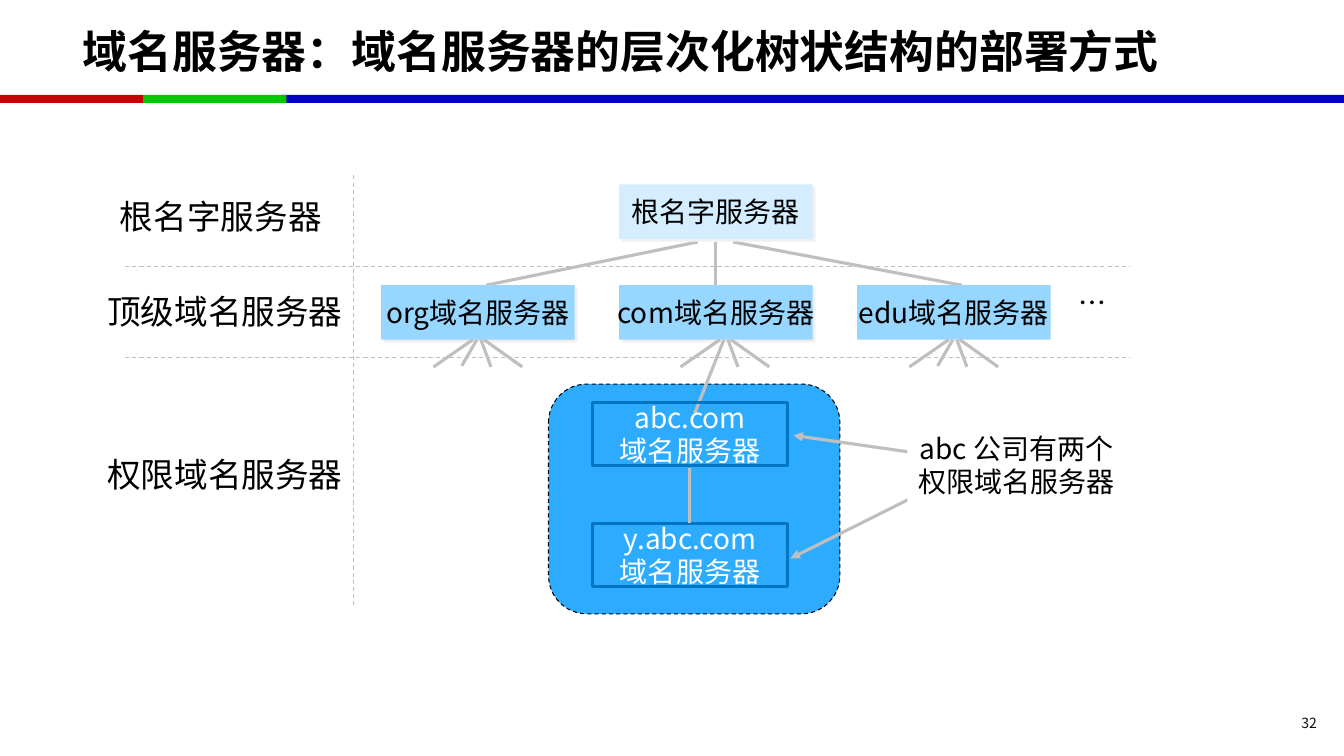
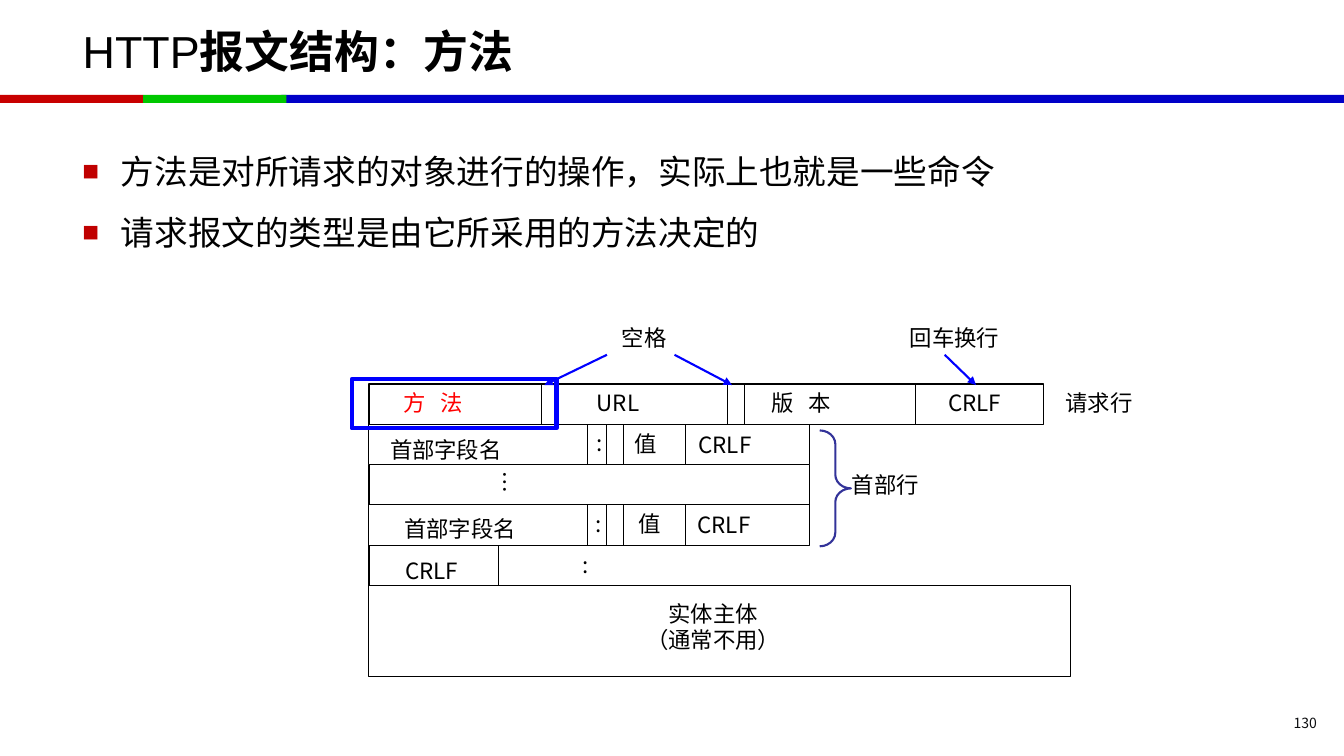
from dataclasses import dataclass

from lxml import etree
from pptx import Presentation
from pptx.dml.color import RGBColor
from pptx.enum.dml import MSO_LINE
from pptx.enum.shapes import MSO_CONNECTOR, MSO_SHAPE
from pptx.enum.text import MSO_ANCHOR, MSO_AUTO_SIZE, PP_ALIGN
from pptx.oxml.ns import qn
from pptx.util import Inches, Pt

RECT = MSO_SHAPE.RECTANGLE
ROUNDED = MSO_SHAPE.ROUNDED_RECTANGLE
BRACE = MSO_SHAPE.RIGHT_BRACE
STRAIGHT = MSO_CONNECTOR.STRAIGHT
DASH = MSO_LINE.DASH
LEFT, CENTER, RIGHT = PP_ALIGN.LEFT, PP_ALIGN.CENTER, PP_ALIGN.RIGHT
TOP, MIDDLE = MSO_ANCHOR.TOP, MSO_ANCHOR.MIDDLE
TITLE_ONLY = 5


@dataclass(frozen=True)
class Theme:
    latin: str = "Arial"
    cjk: str = "Noto Sans CJK SC"
    black: str = "000000"
    white: str = "FFFFFF"
    gray: str = "BFBFBF"
    shadow: str = "F0F0F0"
    page: str = "0C0D0F"
    band_blue: str = "0000C8"
    band_red: str = "C80000"
    band_green: str = "00C800"
    root: str = "D5EEFF"
    top_level: str = "96D6FF"
    cluster: str = "2DACFF"
    authority: str = "0076C2"
    highlight: str = "0000FF"
    method: str = "FF0000"
    brace: str = "333399"
    bullet: str = "C00000"
    title_size: int = 32
    large: int = 24
    medium: int = 20
    small: int = 16
    page_size: int = 10
    leading: float = 1.2


THEME = Theme()


def rgb(color):
    return RGBColor.from_string(color)


def add_xml(parent, tag, **attributes):
    return etree.SubElement(parent, qn(tag), attributes)


def style_run(run, size, color, bold=False, latin=THEME.cjk, tracking=0):
    """Format a run; tracking is extra space between characters, in points."""
    run.font.size = Pt(size)
    run.font.bold = bold
    run.font.color.rgb = rgb(color)
    run.font.name = latin
    properties = run.font._element
    add_xml(properties, "a:ea", typeface=THEME.cjk)
    if tracking:
        properties.set("spc", str(int(tracking * 100)))


def add_bullet(paragraph):
    properties = paragraph._p.get_or_add_pPr()
    indent = Inches(0.38)
    properties.set("marL", str(indent))
    properties.set("indent", str(-indent))
    color = add_xml(properties, "a:buClr")
    add_xml(color, "a:srgbClr", val=THEME.bullet)
    add_xml(properties, "a:buSzPct", val="83000")
    add_xml(properties, "a:buFont", typeface=THEME.latin)
    add_xml(properties, "a:buChar", char="■")


def write(frame, text, size=THEME.small, color=THEME.black, align=LEFT,
          anchor=TOP, wrap=True, spacing=1, bullets=False, tracking=0):
    """Fill a text frame, one paragraph for each line of text."""
    frame.word_wrap = wrap
    frame.vertical_anchor = anchor
    for index, line in enumerate(text.split("\n")):
        paragraph = frame.add_paragraph() if index else frame.paragraphs[0]
        if bullets:
            add_bullet(paragraph)
        paragraph.alignment = align
        paragraph.line_spacing = Pt(size * THEME.leading * spacing)
        run = paragraph.add_run()
        run.text = line
        style_run(run, size, color, tracking=tracking)


def add_label(slide, text, left, top, width, height=0.27, **text_format):
    box = slide.shapes.add_textbox(*map(Inches, (left, top, width, height)))
    write(box.text_frame, text, **text_format)
    return box


def add_box(slide, left, top, width, height, kind=RECT, fill=None, line=None,
            weight=0.75, dash=None):
    box = slide.shapes.add_shape(kind, *map(Inches, (left, top, width, height)))
    box.shadow.inherit = False
    if fill:
        box.fill.solid()
        box.fill.fore_color.rgb = rgb(fill)
    else:
        box.fill.background()
    if line:
        box.line.color.rgb = rgb(line)
        box.line.width = Pt(weight)
        box.line.dash_style = dash
    else:
        box.line.fill.background()
    return box


def add_drop_shadow(box):
    effects = box._element.spPr.find(qn("a:effectLst"))
    shadow = add_xml(effects, "a:outerShdw", dist=str(Pt(2.8)), dir="2700000",
                     algn="ctr", rotWithShape="0")
    add_xml(shadow, "a:srgbClr", val=THEME.shadow)


def add_line(slide, start, end, color=THEME.black, weight=0.75, dash=None,
             arrow=False):
    line = slide.shapes.add_connector(STRAIGHT, *map(Inches, (*start, *end)))
    line.line.color.rgb = rgb(color)
    line.line.width = Pt(weight)
    if dash:
        line.line.dash_style = dash
    if arrow:
        add_xml(line.line._ln, "a:tailEnd", type="triangle")
    add_xml(line._element.spPr, "a:effectLst")


def add_branch(slide, start, end, **line_format):
    add_line(slide, start, end, THEME.gray, 2.25, **line_format)


def add_server(slide, name, left, top, fill, shadow=True):
    server = add_box(slide, left, top, 1.92, 0.54, fill=fill)
    if shadow:
        add_drop_shadow(server)
    write(server.text_frame, name, size=THEME.medium, align=CENTER,
          anchor=MIDDLE, wrap=False)


def add_authority(slide, name, top):
    server = add_box(slide, 5.88, top, 1.93, 0.63, line=THEME.authority, weight=2.25)
    write(server.text_frame, f"{name}\n域名服务器", size=THEME.medium,
          color=THEME.white, align=CENTER, anchor=MIDDLE, wrap=False)


def add_layout_bands(slide):
    """Draw the title bands and move them to the layout that all slides share."""
    layout_tree = slide.slide_layout.shapes._spTree
    for left, width, color in ((2.79, 10.54, THEME.band_blue),
                               (0, 1.42, THEME.band_red),
                               (1.42, 1.42, THEME.band_green)):
        band = add_box(slide, left, 0.94, width, 0.08, fill=color)
        layout_tree.append(band._element)


def start_slide(deck, title_runs, page):
    """Add a slide with its title, given as (text, bold) runs, and page number."""
    slide = deck.slides.add_slide(deck.slide_layouts[TITLE_ONLY])
    title = slide.shapes.title
    title.left, title.top, title.width, title.height = map(
        Inches, (0.72, 0.08, 11.88, 0.84))
    frame = title.text_frame
    frame.auto_size = MSO_AUTO_SIZE.NONE
    frame.word_wrap = True
    frame.vertical_anchor = MIDDLE
    paragraph = frame.paragraphs[0]
    paragraph.alignment = LEFT
    for text, bold in title_runs:
        run = paragraph.add_run()
        run.text = text
        style_run(run, THEME.title_size, THEME.black, bold, THEME.latin)
    add_label(slide, page, 11.86, 7.06, 1.3, 0.23, size=THEME.page_size,
              color=THEME.page, align=RIGHT, anchor=MIDDLE)
    return slide


def build_server_tree(slide):
    cluster = add_box(slide, 5.44, 3.81, 2.89, 2.28, kind=ROUNDED,
                      fill=THEME.cluster, line=THEME.black, dash=DASH)
    cluster.adjustments[0] = 0.167

    for root_x, domain_x in ((6.92, 4.82), (7.1, 7.1), (7.27, 9.54)):
        add_branch(slide, (domain_x, 2.83), (root_x, 2.4))
    add_server(slide, "根名字服务器", 6.14, 1.83, THEME.root)
    for index, domain in enumerate(("org", "com", "edu")):
        add_server(slide, f"{domain}域名服务器", 3.78 + 2.36 * index, 2.83,
                   THEME.top_level, shadow=domain != "edu")
    add_label(slide, "…", 10.6, 2.78, 0.43, 0.44, size=THEME.medium, wrap=False)

    com_x = 7.18
    for center in (4.73, com_x, 9.45):
        for start, end in ((0.07, 0.45), (0.04, 0.14), (-0.04, -0.43)):
            add_branch(slide, (center + start, 3.37), (center + end, 3.64))
        child = (6.89, 4.1) if center == com_x else (center - 0.15, 3.63)
        add_branch(slide, (center, 3.37), child)

    add_authority(slide, "y.abc.com", 5.19)
    add_branch(slide, (6.84, 4.64), (6.84, 5.19))
    add_branch(slide, (9.27, 4.52), (7.87, 4.32), arrow=True)
    add_branch(slide, (9.28, 4.82), (7.84, 5.54), arrow=True)
    add_authority(slide, "abc.com", 3.99)

    for start, end in (((1.24, 2.64), (11.2, 2.64)), ((1.24, 3.55), (11.2, 3.55)),
                       ((3.51, 1.74), (3.51, 6))):
        add_line(slide, start, end, THEME.gray, dash=DASH)
    for level, left, top, width in (("根名字服务器", 1.08, 1.89, 2.22),
                                    ("顶级域名服务器", 0.95, 2.84, 2.56),
                                    ("权限域名服务器", 0.95, 4.45, 2.56)):
        add_label(slide, level, left, top, width, 0.51, size=THEME.large,
                  align=CENTER, wrap=False)

    remark = add_box(slide, 9, 4.23, 2.16, 1.1, fill=THEME.white)
    write(remark.text_frame, "abc 公司有两个\n权限域名服务器",
          size=THEME.medium, align=CENTER)


def build_message_format(slide):
    add_label(slide, "方法是对所请求的对象进行的操作，实际上也就是一些命令\n"
              "请求报文的类型是由它所采用的方法决定的",
              0.72, 1.25, 11.87, 1.24, size=THEME.large, spacing=1.5, bullets=True)

    left, row_height = 3.66, 0.4
    row_tops = [3.81 + row_height * row for row in range(6)]
    for row, width, height in ((0, 6.69, row_height), (1, 4.37, row_height),
                               (3, 4.37, row_height), (5, 6.96, 0.9)):
        add_box(slide, left, row_tops[row], width, height, line=THEME.black)

    header_dividers = (5.83, 6.02, 6.18, 6.8)
    dividers = ((5.37, 5.52, 7.22, 7.38, 9.08), header_dividers, (left, 8.03),
                header_dividers, (left, 4.94))
    for top, positions in zip(row_tops, dividers):
        for x in positions:
            add_line(slide, (x, top), (x, top + row_height))

    for text, x, y, width in (
            ("URL", 5.82, 3.81, 0.88), ("请求行", 10.47, 3.81, 1.17),
            ("首部字段名", 3.77, 4.28, 1.77), (":", 5.82, 4.21, 0.35),
            ("值", 6.19, 4.22, 0.57), ("CRLF", 6.83, 4.23, 1.01),
            ("首部行", 8.35, 4.62, 1.17),
            ("首部字段名", 3.91, 5.06, 1.77), (":", 5.81, 5.01, 0.35),
            ("值", 6.23, 5.01, 0.57), ("CRLF", 6.82, 5.02, 1.18),
            ("CRLF", 3.92, 5.48, 1.01), (":", 5.68, 5.42, 0.35)):
        add_label(slide, text, x, y, width)
    for text, x, y, width in (("空格", 5.84, 3.17, 0.87),
                              ("回车换行", 8.54, 3.17, 1.47),
                              ("CRLF", 9.02, 3.81, 1.01)):
        add_label(slide, text, x, y, width, align=RIGHT)
    for text, x, color in (("方 法", 3.9, THEME.method), ("版 本", 7.55, THEME.black)):
        add_label(slide, text, x, 3.81, 1.14, color=color, tracking=3.5)
    add_label(slide, "实体主体\n（通常不用）", 6.04, 5.9, 2.07, 0.47, align=CENTER)
    more_headers = add_label(slide, "…", 4.75, 4.64, 0.43, 0.28)
    more_headers.rotation = 270

    brace = add_box(slide, 8.13, 4.27, 0.31, 1.15, kind=BRACE,
                    line=THEME.brace, weight=1.5)
    brace.adjustments[0] = 0.439
    for start_x, end_x in ((6.69, 7.26), (6.02, 5.4), (9.37, 9.68)):
        add_line(slide, (start_x, 3.52), (end_x, 3.82), THEME.highlight, 1.5,
                 arrow=True)
    add_box(slide, 3.49, 3.76, 2.03, 0.49, line=THEME.highlight, weight=3)


def main():
    deck = Presentation()
    deck.slide_width, deck.slide_height = Inches(13.33), Inches(7.5)
    tree_slide = start_slide(
        deck, [("域名服务器：域名服务器的层次化树状结构的部署方式", True)], "32")
    add_layout_bands(tree_slide)
    build_server_tree(tree_slide)
    message_slide = start_slide(
        deck, [("HTTP", False), ("报文结构：方法", True)], "130")
    build_message_format(message_slide)
    deck.save("out.pptx")


if __name__ == "__main__":
    main()
